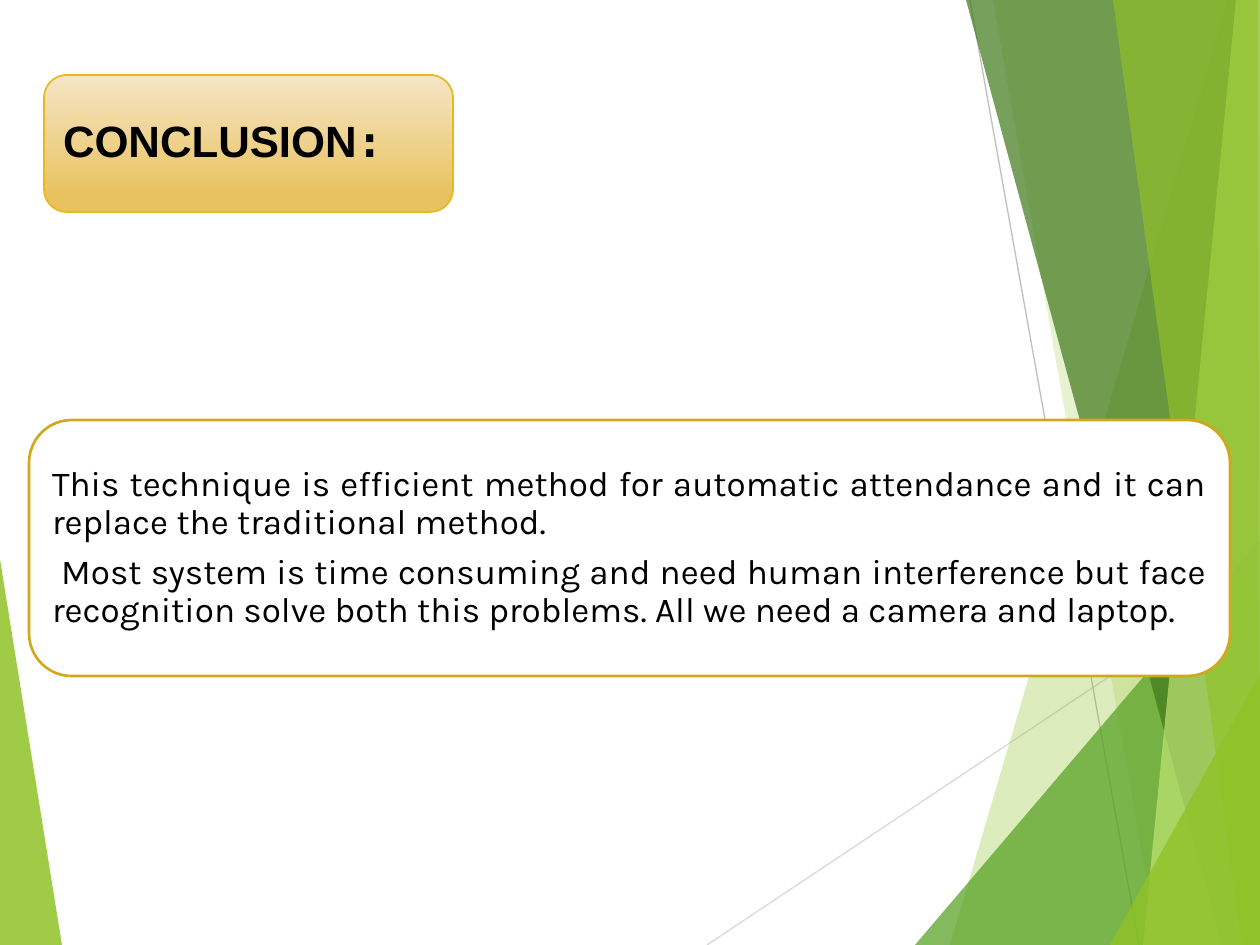
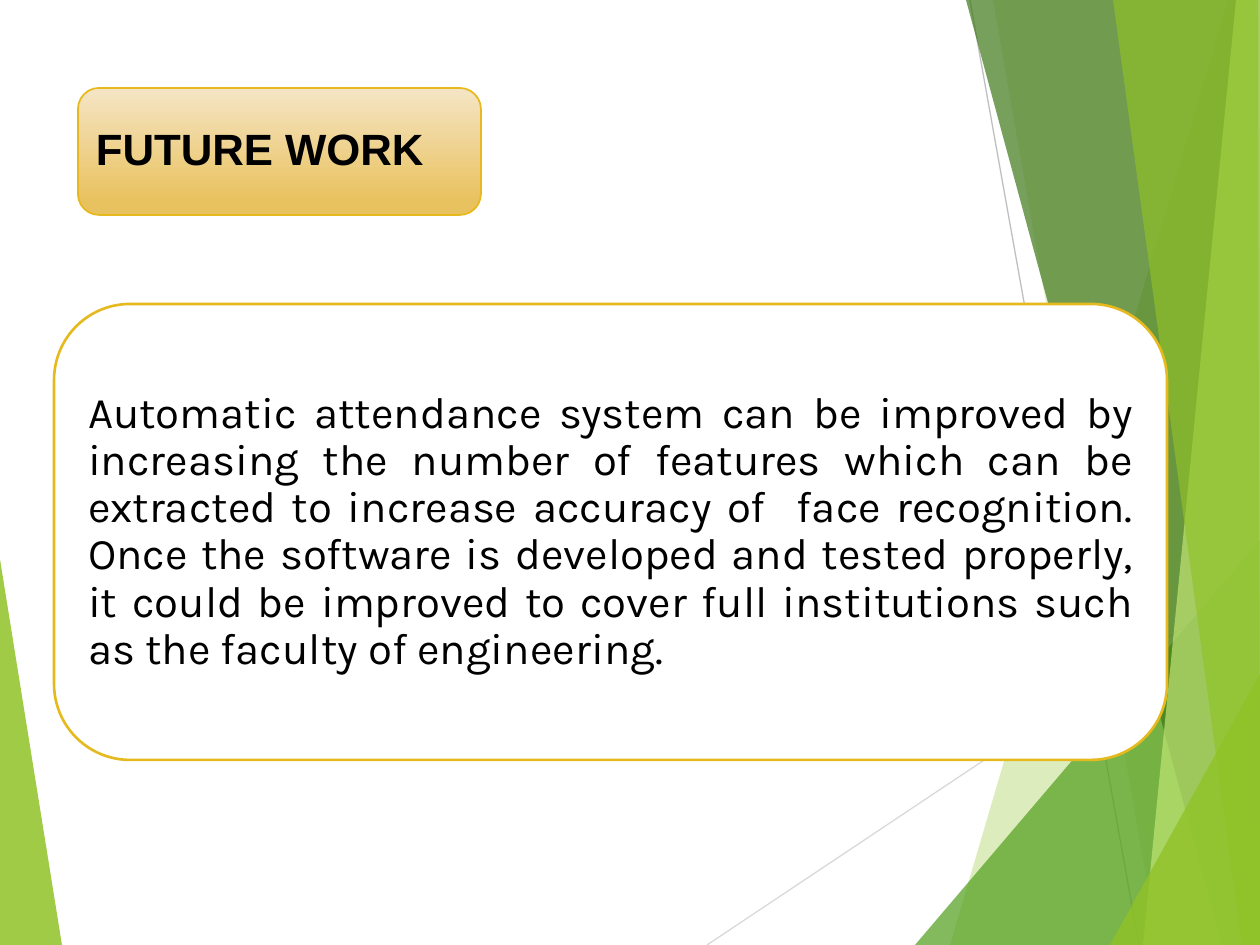
from lxml import etree
from pptx import Presentation
from pptx.dml.color import RGBColor
from pptx.enum.shapes import MSO_CONNECTOR, MSO_SHAPE
from pptx.enum.text import MSO_ANCHOR, MSO_AUTO_SIZE, PP_ALIGN
from pptx.oxml.ns import qn
from pptx.util import Pt

PX = 914400 / 126
WIDTH, HEIGHT = 1260, 945

LIME = RGBColor(0x90, 0xC2, 0x26)
GREEN = RGBColor(0x54, 0xA0, 0x21)
FOREST = RGBColor(0x3F, 0x78, 0x19)
PALE_LIME = RGBColor(0xC0, 0xE4, 0x74)
PALE_GREY = RGBColor(0xD9, 0xD9, 0xD9)
GREY = RGBColor(0xBF, 0xBF, 0xBF)
CREAM = RGBColor(0xF5, 0xE5, 0xC5)
SAND = RGBColor(0xE9, 0xC2, 0x60)
GOLD = RGBColor(0xE6, 0xB9, 0x1E)
DARK_GOLD = RGBColor(0xD1, 0xA8, 0x1B)
WHITE = RGBColor(0xFF, 0xFF, 0xFF)
BLACK = RGBColor(0, 0, 0)

TITLE_FONT, COLON_FONT, BODY_FONT = "Arial", "DejaVu Sans Mono", "Karla"
TITLE_SIZE = 25

# Rays and facets of the background: geometry, colour, opacity in percent
RAYS = [((707, 945, 1260, 576), PALE_GREY), ((970, 0, 1139, 945), GREY)]
LEFT_FACET = ([(0, 559), (62, 945), (0, 945)], LIME, 85)
RIGHT_FACETS = [
    ([(1228, 0), (950, 945), (1260, 945), (1260, 0)], LIME, 30),
    ([(993, 0), (1158, 945), (1260, 945), (1260, 0)], LIME, 20),
    ([(915, 945), (1260, 540), (1260, 945)], GREEN, 72),
    ([(966, 0), (1222, 945), (1260, 945), (1260, 0)], FOREST, 70),
    ([(1236, 0), (1143, 945), (1260, 945), (1260, 0)], PALE_LIME, 70),
    ([(1113, 0), (1242, 945), (1260, 945), (1258, 0)], LIME, 65),
    ([(1110, 945), (1260, 674), (1260, 945)], LIME, 80),
]


def px(length):
    return round(length * PX)


def add_facet(shapes, corners, colour, opacity):
    outline = shapes.build_freeform(*corners[0], scale=PX)
    outline.add_line_segments(corners[1:], close=True)
    facet = outline.convert_to_shape()
    facet.shadow.inherit = False
    facet.line.fill.background()
    facet.fill.solid()
    facet.fill.fore_color.rgb = colour
    tint = facet.element.spPr.find(".//" + qn("a:srgbClr"))
    etree.SubElement(tint, qn("a:alpha"), val=str(opacity * 1000))


def add_ray(shapes, ends, colour):
    ray = shapes.add_connector(MSO_CONNECTOR.STRAIGHT, *map(px, ends))
    ray.line.color.rgb = colour
    ray.line.width = Pt(0.75)
    etree.SubElement(ray.element.spPr, qn("a:effectLst"))


def add_backdrop(master, slide):
    """Draw the facets as one group and hand it to the slide master."""
    backdrop = slide.shapes.add_group_shape()
    add_facet(backdrop.shapes, *LEFT_FACET)
    for ray in RAYS:
        add_ray(backdrop.shapes, *ray)
    for facet in RIGHT_FACETS:
        add_facet(backdrop.shapes, *facet)
    for number, properties in enumerate(backdrop.element.iter(qn("p:cNvPr")), 100):
        properties.set("id", str(number))
    master.shapes.element.append(backdrop.element)


def add_panel(slide, box, border, border_width):
    panel = slide.shapes.add_shape(MSO_SHAPE.ROUNDED_RECTANGLE, *map(px, box))
    panel.shadow.inherit = False
    panel.line.color.rgb = border
    panel.line.width = Pt(border_width)
    return panel


def place_text(slide, holder, box, size):
    """Put a placeholder in front, inside the rounded corners of its panel."""
    left, top, width, height = box
    inset = round(0.049 * height)
    holder.left, holder.top = px(left + inset), px(top + inset)
    holder.width, holder.height = px(width - 2 * inset), px(height - 2 * inset)
    slide.shapes.element.append(holder.element)
    frame = holder.text_frame
    frame.word_wrap = True
    frame.auto_size = MSO_AUTO_SIZE.NONE
    frame.vertical_anchor = MSO_ANCHOR.MIDDLE
    frame.margin_left = frame.margin_right = px(size // 2)
    frame.margin_top = frame.margin_bottom = px(size // 2)
    return frame


def format_paragraph(paragraph, align, font_name, size, bold=False):
    paragraph.alignment = align
    paragraph.line_spacing = 0.9
    paragraph.space_before = Pt(0)
    paragraph.space_after = Pt(round(0.35 * size))
    font = paragraph.font
    font.name, font.size, font.bold = font_name, Pt(size), bold
    font.color.rgb = BLACK


def add_heading(slide, box, heading, colon=""):
    plate = add_panel(slide, box, GOLD, 1)
    plate.fill.gradient()
    plate.fill.gradient_angle = 270
    for stop, (position, colour) in zip(plate.fill.gradient_stops,
                                        [(0, CREAM), (0.88, SAND)]):
        stop.position = position
        stop.color.rgb = colour
    frame = place_text(slide, slide.shapes.title, box, TITLE_SIZE)
    paragraph = frame.paragraphs[0]
    paragraph.add_run().text = heading
    format_paragraph(paragraph, PP_ALIGN.LEFT, TITLE_FONT, TITLE_SIZE, bold=True)
    if colon:
        mark = paragraph.add_run()
        mark.text = colon
        mark.font.name = COLON_FONT


def add_statement(slide, box, sentences, size, border):
    card = add_panel(slide, box, border, 1.5)
    card.fill.solid()
    card.fill.fore_color.rgb = WHITE
    frame = place_text(slide, slide.placeholders[1], box, size)
    frame.text = "\n".join(sentences)
    for paragraph in frame.paragraphs:
        properties = paragraph._p.get_or_add_pPr()
        properties.set("marL", "0")
        properties.set("indent", "0")
        etree.SubElement(properties, qn("a:buNone"))
        format_paragraph(paragraph, PP_ALIGN.JUSTIFY, BODY_FONT, size)


def main():
    deck = Presentation()
    deck.slide_width, deck.slide_height = px(WIDTH), px(HEIGHT)
    layout = deck.slide_layouts[1]

    # Conclusion
    conclusion = deck.slides.add_slide(layout)
    add_backdrop(deck.slide_master, conclusion)
    add_heading(conclusion, (44, 75, 409, 137), "CONCLUSION", ":")
    add_statement(conclusion, (29, 420, 1201, 256), [
        "This technique is efficient method for automatic attendance and it "
        "can replace the traditional method.",
        " Most system is time consuming and need human interference but face "
        "recognition solve both this problems. All we need a camera and laptop.",
    ], 20, DARK_GOLD)

    # Future work
    future_work = deck.slides.add_slide(layout)
    add_statement(future_work, (54, 304, 1113, 456), [
        "Automatic attendance system can be improved by increasing the number "
        "of features which can be extracted to increase accuracy of  face "
        "recognition. Once the software is developed and tested properly, it "
        "could be improved to cover full institutions such as the faculty of "
        "engineering.",
    ], 25, GOLD)
    add_heading(future_work, (78, 88, 403, 127), "FUTURE WORK")

    deck.save("out.pptx")


if __name__ == "__main__":
    main()
